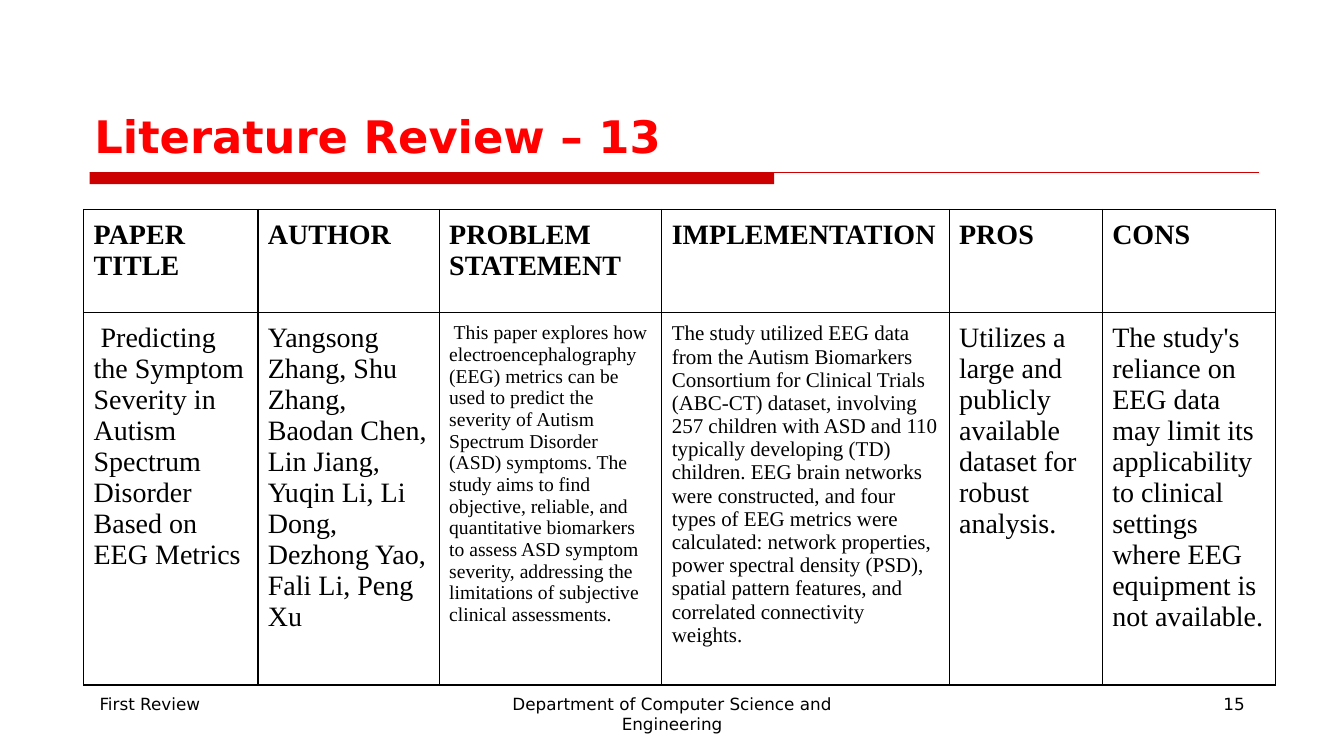
"""Build the literature review slide with its paper summary table."""
import pptx
import pptx.dml.color
import pptx.enum.shapes
import pptx.enum.text
import pptx.oxml
import pptx.oxml.ns
import pptx.util
from pptx.util import Cm

BLACK = pptx.dml.color.RGBColor(0x00, 0x00, 0x00)
WHITE = pptx.dml.color.RGBColor(0xFF, 0xFF, 0xFF)
RED = pptx.dml.color.RGBColor(0xFF, 0x00, 0x00)
DARK_RED = pptx.dml.color.RGBColor(0xCC, 0x00, 0x00)
ALIGN = pptx.enum.text.PP_ALIGN
ANCHOR = pptx.enum.text.MSO_ANCHOR

COLUMN_WIDTHS = [4.39, 4.57, 5.61, 7.24, 3.86, 4.37]
ROW_HEIGHTS = [2.59, 8.84]
HEADINGS = ["PAPER\vTITLE", "AUTHOR", "PROBLEM STATEMENT", "IMPLEMENTATION", "PROS", "CONS"]
PAPER = [
    " Predicting the Symptom Severity in Autism Spectrum Disorder Based on EEG Metrics",
    "Yangsong Zhang, Shu Zhang, Baodan Chen, Lin Jiang, Yuqin Li, Li Dong, "
    "Dezhong Yao, Fali Li, Peng Xu",
    " This paper explores how electroencephalography (EEG) metrics can be used to predict "
    "the severity of Autism Spectrum Disorder (ASD) symptoms. The study aims to find "
    "objective, reliable, and quantitative biomarkers to assess ASD symptom severity, "
    "addressing the limitations of subjective clinical assessments.",
    "The study utilized EEG data from the Autism Biomarkers Consortium for Clinical Trials "
    "(ABC-CT) dataset, involving 257 children with ASD and 110 typically developing (TD) "
    "children. EEG brain networks were constructed, and four types of EEG metrics were "
    "calculated: network properties, power spectral density (PSD), spatial pattern "
    "features, and correlated connectivity weights.",
    "Utilizes a large and publicly available dataset for robust analysis.",
    "The study's reliance on EEG data may limit its applicability to clinical settings "
    "where EEG equipment is not available.",
]
HEADING_SIZES = [20] * 6
PAPER_SIZES = [20, 20, 14, 15, 20, 20]


class SlideBuilder:
    """Hold the fonts and the current slide, and add styled elements to it."""

    heading_font = "DejaVu Sans"
    table_font = "Times New Roman"

    def __init__(self, slide):
        self.slide = slide

    def format_text(self, text_frame, font_name, size, color=BLACK, bold=False, align=ALIGN.LEFT):
        for paragraph in text_frame.paragraphs:
            paragraph.alignment = align
            for run in paragraph.runs:
                run.font.name = font_name
                run.font.size = pptx.util.Pt(size)
                run.font.bold = bold
                run.font.color.rgb = color

    def add_text(self, text, left, top, width, height, size, anchor=ANCHOR.TOP, **style):
        box = self.slide.shapes.add_textbox(Cm(left), Cm(top), Cm(width), Cm(height))
        text_frame = box.text_frame
        text_frame.word_wrap = True
        text_frame.vertical_anchor = anchor
        text_frame.text = text
        self.format_text(text_frame, self.heading_font, size, **style)

    def add_bar(self, left, top, width, height):
        bar = self.slide.shapes.add_shape(
            pptx.enum.shapes.MSO_SHAPE.RECTANGLE, Cm(left), Cm(top), Cm(width), Cm(height))
        bar.shadow.inherit = False
        bar.fill.solid()
        bar.fill.fore_color.rgb = DARK_RED
        bar.line.fill.background()

    def add_rule(self, left, right, top, weight):
        rule = self.slide.shapes.add_connector(
            pptx.enum.shapes.MSO_CONNECTOR.STRAIGHT, Cm(left), Cm(top), Cm(right), Cm(top))
        rule.line.color.rgb = DARK_RED
        rule.line.width = pptx.util.Pt(weight)
        properties = rule._element.spPr
        properties.append(properties.makeelement(pptx.oxml.ns.qn("a:effectLst"), {}))

    def add_borders(self, cell):
        properties = cell._tc.get_or_add_tcPr()
        for index, side in enumerate(["lnL", "lnR", "lnT", "lnB"]):
            properties.insert(index, pptx.oxml.parse_xml(
                f'<a:{side} {pptx.oxml.ns.nsdecls("a")} w="{pptx.util.Pt(1)}">'
                f'<a:solidFill><a:srgbClr val="{BLACK}"/></a:solidFill></a:{side}>'))

    def fill_cell(self, cell, text, size, bold):
        cell.margin_left = cell.margin_right = Cm(0.25)
        cell.margin_top = cell.margin_bottom = Cm(0.25)
        cell.fill.solid()
        cell.fill.fore_color.rgb = WHITE
        self.add_borders(cell)
        cell.text_frame.text = text
        self.format_text(cell.text_frame, self.table_font, size, bold=bold)

    def add_table(self, left, top, rows):
        table = self.slide.shapes.add_table(
            len(rows), len(COLUMN_WIDTHS), Cm(left), Cm(top),
            Cm(sum(COLUMN_WIDTHS)), Cm(sum(ROW_HEIGHTS))).table
        table.first_row = False
        table.horz_banding = False
        for column, width in zip(table.columns, COLUMN_WIDTHS):
            column.width = Cm(width)
        for row, height, (texts, sizes, bold) in zip(table.rows, ROW_HEIGHTS, rows):
            row.height = Cm(height)
            for cell, text, size in zip(row.cells, texts, sizes):
                self.fill_cell(cell, text, size, bold)


def main():
    presentation = pptx.Presentation()
    presentation.slide_width = Cm(33.87)
    presentation.slide_height = Cm(19.05)
    builder = SlideBuilder(presentation.slides.add_slide(presentation.slide_layouts[6]))

    builder.add_bar(2.26, 4.34, 17.25, 0.3)
    builder.add_rule(2.26, 31.72, 4.34, 0.75)
    builder.add_rule(2.26, 31.6, 17.15, 0.25)
    builder.add_text("Literature Review – 13", 2.13, 0.84, 29.64, 3.38, 32,
                     anchor=ANCHOR.BOTTOM, color=RED, bold=True)
    for text, left, width, align in [
        ("First Review", 2.26, 7.34, ALIGN.LEFT),
        ("Department of Computer Science and Engineering", 11.58, 10.72, ALIGN.CENTER),
        ("15", 24.28, 7.34, ALIGN.RIGHT),
    ]:
        builder.add_text(text, left, 17.35, width, 1.32, 12, align=align)
    builder.add_table(2.11, 5.28, [(HEADINGS, HEADING_SIZES, True), (PAPER, PAPER_SIZES, False)])

    presentation.save("out.pptx")


if __name__ == "__main__":
    main()
